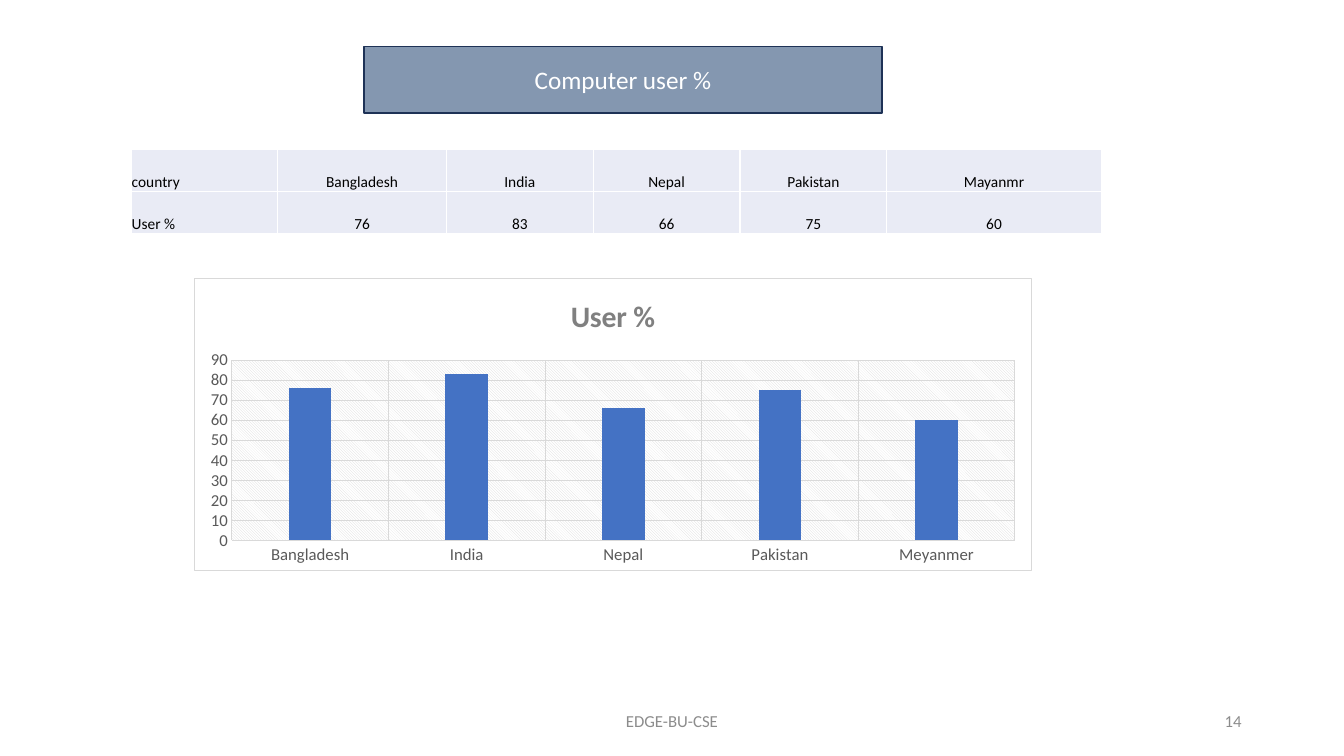
import dataclasses

import pptx
import pptx.chart.data
import pptx.dml.color
import pptx.enum.chart
import pptx.enum.dml
import pptx.enum.shapes
import pptx.enum.text
import pptx.oxml
import pptx.oxml.ns
import pptx.util

Cm = pptx.util.Cm
Pt = pptx.util.Pt
ALIGN = pptx.enum.text.PP_ALIGN
ANCHOR = pptx.enum.text.MSO_ANCHOR


@dataclasses.dataclass(frozen=True)
class Theme:
    font: str = "Calibri"
    white: str = "FFFFFF"
    black: str = "000000"
    banner: str = "8497B0"
    banner_line: str = "1E3256"
    cell: str = "E9EBF5"
    footer: str = "8C8C8C"
    grid: str = "D9D9D9"
    axis_text: str = "595959"
    chart_title: str = "808080"
    bar: str = "4472C4"
    banner_size: float = 18
    table_size: float = 11
    small_size: float = 12
    chart_title_size: float = 21.3


THEME = Theme()
COUNTRIES = ["Bangladesh", "India", "Nepal", "Pakistan"]
USERS = [76, 83, 66, 75, 60]


def rgb(color):
    return pptx.dml.color.RGBColor.from_string(color)


def style_font(font, size, color, bold=False):
    font.name = THEME.font
    font.size = Pt(size)
    font.bold = bold
    font.color.rgb = rgb(color)


def write_text(frame, text, size=THEME.small_size, color=THEME.black,
               align=ALIGN.CENTER, bold=False):
    paragraph = frame.paragraphs[0]
    paragraph.alignment = align
    run = paragraph.add_run()
    run.text = text
    style_font(run.font, size, color, bold)


def set_line(line, color, width=0.75):
    line.color.rgb = rgb(color)
    line.width = Pt(width)


def add_banner(slide, text, left, top, width, height):
    shape = slide.shapes.add_shape(
        pptx.enum.shapes.MSO_SHAPE.RECTANGLE, left, top, width, height)
    shape.shadow.inherit = False
    shape.fill.solid()
    shape.fill.fore_color.rgb = rgb(THEME.banner)
    set_line(shape.line, THEME.banner_line, 1)
    shape.text_frame.vertical_anchor = ANCHOR.MIDDLE
    write_text(shape.text_frame, text, size=THEME.banner_size, color=THEME.white)


def add_footer(slide, text, left, width, align):
    box = slide.shapes.add_textbox(left, Cm(17.65), width, Cm(1.01))
    box.text_frame.word_wrap = True
    box.text_frame.vertical_anchor = ANCHOR.MIDDLE
    write_text(box.text_frame, text, color=THEME.footer, align=align)


def add_cell_borders(cell):
    properties = cell._tc.get_or_add_tcPr()
    for side in ("lnL", "lnR", "lnT", "lnB"):
        properties.append(pptx.oxml.parse_xml(
            f'<a:{side} {pptx.oxml.ns.nsdecls("a")} w="{Pt(1)}"><a:solidFill>'
            f'<a:srgbClr val="{THEME.white}"/></a:solidFill></a:{side}>'))


def fill_cell(cell, text, align):
    add_cell_borders(cell)
    cell.fill.solid()
    cell.fill.fore_color.rgb = rgb(THEME.cell)
    cell.margin_left = cell.margin_right = cell.margin_top = Cm(0.02)
    cell.margin_bottom = 0
    cell.vertical_anchor = ANCHOR.BOTTOM
    write_text(cell.text_frame, text, size=THEME.table_size, align=align)


def add_user_table(slide, rows, left, top, widths, row_height):
    table = slide.shapes.add_table(
        len(rows), len(widths), left, top, sum(widths), row_height * len(rows)).table
    for column, width in zip(table.columns, widths):
        column.width = width
    for row_index, row in enumerate(rows):
        table.rows[row_index].height = row_height
        for column_index, value in enumerate(row):
            align = ALIGN.CENTER if column_index else ALIGN.LEFT
            fill_cell(table.cell(row_index, column_index), str(value), align)


def style_axis(axis):
    axis.major_tick_mark = pptx.enum.chart.XL_TICK_MARK.NONE
    axis.minor_tick_mark = pptx.enum.chart.XL_TICK_MARK.NONE
    axis.has_major_gridlines = True
    set_line(axis.major_gridlines.format.line, THEME.grid)
    style_font(axis.tick_labels.font, THEME.small_size, THEME.axis_text)


def color_fill(color):
    return f'<a:solidFill><a:srgbClr val="{color}"/></a:solidFill>'


def area_properties(content):
    return pptx.oxml.parse_xml(
        f'<c:spPr {pptx.oxml.ns.nsdecls("c", "a")}>{content}</c:spPr>')


def style_chart_areas(chart):
    chart_element = chart._chartSpace.chart
    chart_element.addnext(area_properties(
        f'{color_fill(THEME.white)}<a:ln w="{Pt(0.75)}">{color_fill(THEME.grid)}</a:ln>'))
    chart_element.plotArea.append(area_properties(
        f'<a:pattFill prst="ltDnDiag"><a:fgClr><a:srgbClr val="{THEME.grid}"/></a:fgClr>'
        f'<a:bgClr><a:srgbClr val="{THEME.white}"/></a:bgClr></a:pattFill>'))


def add_user_chart(slide, title, categories, values, left, top, width, height):
    data = pptx.chart.data.CategoryChartData()
    data.categories = categories
    data.add_series(title, values)
    chart = slide.shapes.add_chart(
        pptx.enum.chart.XL_CHART_TYPE.COLUMN_CLUSTERED,
        left, top, width, height, data).chart
    style_font(chart.font, 10, THEME.black)
    chart.has_legend = False
    chart.has_title = True
    write_text(chart.chart_title.text_frame, title, size=THEME.chart_title_size,
               color=THEME.chart_title, bold=True)
    chart.chart_title.include_in_layout = False
    plot = chart.plots[0]
    plot.vary_by_categories = False
    plot.gap_width = 267
    plot.overlap = -43
    bars = plot.series[0].format
    bars.fill.solid()
    bars.fill.fore_color.rgb = rgb(THEME.bar)
    for axis in (chart.category_axis, chart.value_axis):
        style_axis(axis)
    set_line(chart.category_axis.format.line, THEME.grid)
    chart.value_axis.format.line.fill.background()
    chart.value_axis.minimum_scale = 0
    chart.value_axis.maximum_scale = 90
    chart.value_axis.major_unit = 10
    style_chart_areas(chart)


def main():
    presentation = pptx.Presentation()
    presentation.slide_width = Cm(33.87)
    presentation.slide_height = Cm(19.05)
    slide = presentation.slides.add_slide(presentation.slide_layouts[6])
    rows = [["country", *COUNTRIES, "Mayanmr"], ["User %", *USERS]]
    widths = [Cm(width) for width in (3.7, 4.25, 3.7, 3.7, 3.7, 5.4)]
    add_user_table(slide, rows, Cm(3.3), Cm(3.77), widths, Cm(1.06))
    add_footer(slide, "EDGE-BU-CSE", Cm(11.22), Cm(11.43), ALIGN.CENTER)
    add_footer(slide, "14", Cm(23.92), Cm(7.62), ALIGN.RIGHT)
    add_banner(slide, "Computer user %", Cm(9.17), Cm(1.17), Cm(13.06), Cm(1.68))
    add_user_chart(slide, "User %", [*COUNTRIES, "Meyanmer"], USERS,
                   Cm(4.88), Cm(7.01), Cm(21.13), Cm(7.37))
    presentation.save("out.pptx")


if __name__ == "__main__":
    main()
